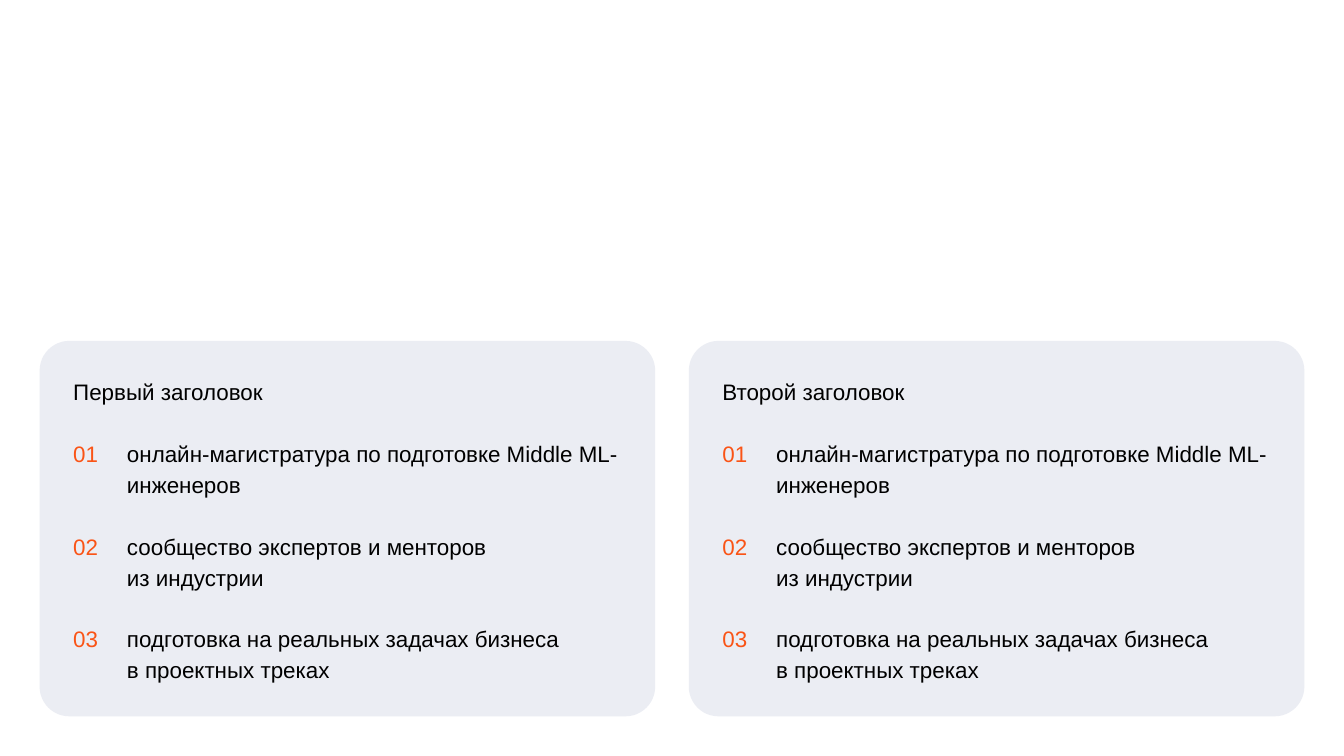
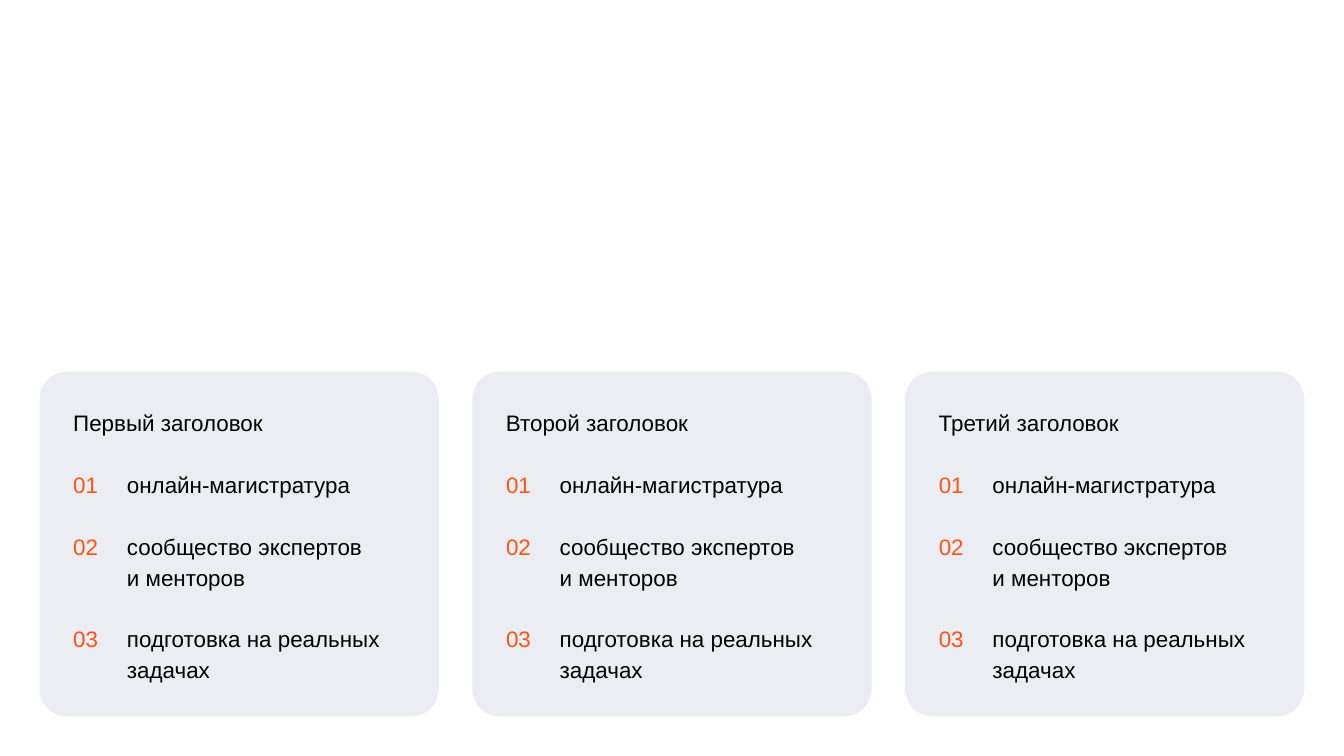
from collections.abc import Sequence
from dataclasses import dataclass

from pptx import Presentation, util as u
from pptx.dml.color import RGBColor
from pptx.enum import shapes, text
from pptx.slide import Slide

SLIDE_WIDTH = 10
SLIDE_HEIGHT = SLIDE_WIDTH * 9 / 16
CARDS_WIDTH = 9.41
MARGIN = (SLIDE_WIDTH - CARDS_WIDTH) / 2
CARDS_BOTTOM = SLIDE_HEIGHT - MARGIN
GUTTER = 0.25
PADDING = 0.25
HEADING_HEIGHT = 0.2
HEADING_MAX_WIDTH = 2.97
LIST_OFFSET = 0.71
NUMBER_WIDTH = 0.29
NUMBER_COLUMN = 0.4
LINE_HEIGHT = 16.5 / 72
CORNER = 0.079

FONT = "Arial"
FONT_SIZE = 12
LINE_SPACING = 1.15
PAPER = "FFFFFF"
INK = "000000"
ACCENT = "FA5416"
CARD_FILL = "EBEDF3"

TIE = "~"  # stands for a no-break space in the wordings below
NO_BREAK_SPACE = chr(160)


@dataclass(frozen=True)
class Item:
    wording: str
    lines: int = 2


@dataclass(frozen=True)
class Box:
    left: float
    top: float
    width: float
    height: float

    def emu(self) -> tuple[int, ...]:
        return tuple(u.Inches(v) for v in (self.left, self.top, self.width, self.height))


@dataclass(frozen=True)
class CardSlide:
    headings: tuple[str, ...]
    items: tuple[Item, ...]


CARD_SLIDES = (
    CardSlide(
        ("Первый заголовок", "Второй заголовок"),
        (
            Item("онлайн-магистратура по~подготовке Middle ML-инженеров"),
            Item("сообщество экспертов и~менторов из~индустрии"),
            Item("подготовка на реальных задачах бизнеса в~проектных треках"),
        ),
    ),
    CardSlide(
        ("Первый заголовок", "Второй заголовок", "Третий заголовок"),
        (
            Item("онлайн-магистратура", lines=1),
            Item("сообщество экспертов и~менторов"),
            Item("подготовка на реальных задачах"),
        ),
    ),
)


def rgb(code: str) -> RGBColor:
    return RGBColor.from_string(code)


def add_text(slide: Slide, box: Box, paragraphs: Sequence[str], *,
             color: str = INK, size: float = FONT_SIZE,
             lines_before: Sequence[int] = (0,)) -> None:
    """Write paragraphs, each preceded by the given number of line heights."""
    frame = slide.shapes.add_textbox(*box.emu()).text_frame
    frame.word_wrap = True
    frame.auto_size = text.MSO_AUTO_SIZE.SHAPE_TO_FIT_TEXT
    frame.margin_left = frame.margin_top = frame.margin_right = frame.margin_bottom = 0
    frame.text = "\n".join(paragraphs).replace(TIE, NO_BREAK_SPACE)
    for paragraph, skipped in zip(frame.paragraphs, lines_before):
        paragraph.line_spacing = LINE_SPACING
        paragraph.space_before = u.Inches(skipped * LINE_HEIGHT)
        font = paragraph.runs[0].font
        font.name, font.size = FONT, u.Pt(size)
        font.color.rgb = rgb(color)


def add_panel(slide: Slide, box: Box) -> None:
    panel = slide.shapes.add_shape(shapes.MSO_SHAPE.ROUNDED_RECTANGLE, *box.emu())
    panel.adjustments[0] = CORNER
    panel.shadow.inherit = False
    panel.fill.solid()
    panel.fill.fore_color.rgb = rgb(CARD_FILL)
    panel.line.fill.background()


def add_card(slide: Slide, card: Box, heading: str, items: Sequence[Item]) -> None:
    left, top = card.left + PADDING, card.top + PADDING
    inner_width = card.width - 2 * PADDING
    list_top = card.top + LIST_OFFSET
    list_height = card.height - LIST_OFFSET - PADDING
    numbers = [f"{n:02}" for n in range(1, len(items) + 1)]

    add_panel(slide, card)
    add_text(slide, Box(left, top, min(inner_width, HEADING_MAX_WIDTH), HEADING_HEIGHT),
             [heading])
    add_text(slide, Box(left + NUMBER_COLUMN, list_top, inner_width - NUMBER_COLUMN, list_height),
             [item.wording for item in items],
             lines_before=[0] + [1] * (len(items) - 1))
    add_text(slide, Box(left, list_top, NUMBER_WIDTH, list_height - LINE_HEIGHT),
             numbers, color=ACCENT,
             lines_before=[0] + [item.lines for item in items[:-1]])


def add_card_slide(deck, content: CardSlide) -> None:
    slide = deck.slides.add_slide(deck.slide_layouts[6])
    slide.background.fill.solid()
    slide.background.fill.fore_color.rgb = rgb(PAPER)

    count = len(content.headings)
    width = (CARDS_WIDTH - GUTTER * (count - 1)) / count
    list_lines = sum(item.lines for item in content.items) + len(content.items) - 1
    height = LIST_OFFSET + list_lines * LINE_HEIGHT + PADDING
    for column, heading in enumerate(content.headings):
        left = MARGIN + column * (width + GUTTER)
        add_card(slide, Box(left, CARDS_BOTTOM - height, width, height), heading, content.items)


def main() -> None:
    deck = Presentation()
    deck.slide_width, deck.slide_height = u.Inches(SLIDE_WIDTH), u.Inches(SLIDE_HEIGHT)
    for content in CARD_SLIDES:
        add_card_slide(deck, content)
    deck.save("out.pptx")


if __name__ == "__main__":
    main()
